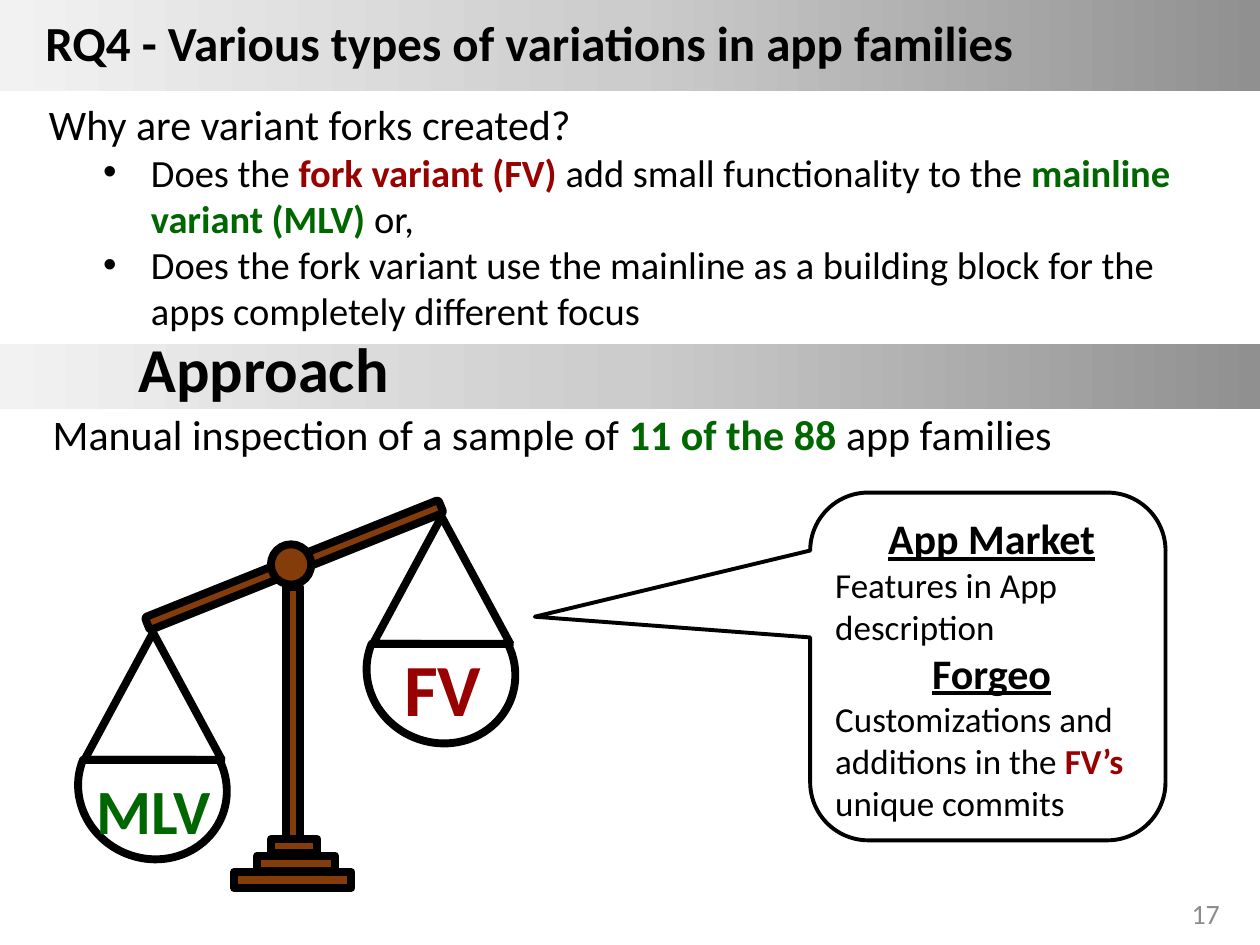
from copy import deepcopy
from dataclasses import dataclass
from typing import NamedTuple, Optional

from lxml.etree import SubElement
from pptx import Presentation
from pptx.dml.color import RGBColor
from pptx.enum.shapes import MSO_SHAPE
from pptx.enum.text import MSO_ANCHOR, MSO_AUTO_SIZE, PP_ALIGN
from pptx.oxml.ns import qn
from pptx.util import Inches, Pt


@dataclass(frozen=True)
class Theme:
    font: str = "Calibri"
    black: str = "000000"
    white: str = "FFFFFF"
    red: str = "990000"
    green: str = "006600"
    brown: str = "843C0B"
    gray: str = "8C8C8C"
    fade: tuple = ("909090", "CCCCCC", "F2F2F2")
    title: float = 28
    header: float = 35.7
    lead: float = 24
    item: float = 22
    note: float = 20
    page: float = 16
    thick: float = 4.5
    thin: float = 2.25


THEME = Theme()


class Box(NamedTuple):
    left: float
    top: float
    width: float
    height: float

    def inches(self) -> list:
        return [Inches(side) for side in self]


class Span(NamedTuple):
    text: str
    color: str = THEME.black
    bold: bool = False
    under: bool = False


class Para(NamedTuple):
    spans: list
    size: float
    align: PP_ALIGN = PP_ALIGN.LEFT
    space: Optional[float] = None
    left: float = 0
    hang: float = 0


class Part(NamedTuple):
    kind: MSO_SHAPE
    box: Box
    fill: Optional[str] = THEME.brown
    turn: float = 0
    line: float = THEME.thick


class Pan(NamedTuple):
    left: float
    top: float
    name: str
    color: str
    size: float
    label: Box


def write(frame, paras: list[Para]) -> None:
    frame.word_wrap = True
    for index, para in enumerate(paras):
        line = frame.add_paragraph() if index else frame.paragraphs[0]
        line.alignment = para.align
        if para.space:
            line.line_spacing = para.space
        props = line._p.get_or_add_pPr()
        props.set("marL", str(Inches(para.left)))
        props.set("indent", str(Inches(-para.hang)))
        if para.hang:
            SubElement(props, qn("a:buFont")).set("typeface", "Arial")
            SubElement(props, qn("a:buChar")).set("char", "•")
        for span in para.spans:
            run = line.add_run()
            run.text = span.text
            font = run.font
            font.name, font.size = THEME.font, Pt(para.size)
            font.bold, font.underline = span.bold, span.under
            font.color.rgb = RGBColor.from_string(span.color)


def add_text(shapes, box: Box, paras: list[Para]):
    frame = shapes.add_textbox(*box.inches()).text_frame
    write(frame, paras)
    return frame


def add_part(shapes, part: Part):
    shape = shapes.add_shape(part.kind, *part.box.inches())
    shape.shadow.inherit = False
    shape.rotation = part.turn
    if part.fill:
        shape.fill.solid()
        shape.fill.fore_color.rgb = RGBColor.from_string(part.fill)
    else:
        shape.fill.background()
    shape.line.color.rgb = RGBColor.from_string(THEME.black)
    shape.line.width = Pt(part.line)
    return shape


def style_band(shape, text: str, size: float, inset: float, space: float) -> None:
    shape.fill.gradient()
    shape.fill.gradient_angle = 180
    stops = shape._element.spPr.find(".//" + qn("a:gsLst"))
    stops.insert(1, deepcopy(stops[0]))
    for index, (stop, color) in enumerate(zip(shape.fill.gradient_stops, THEME.fade)):
        stop.color.rgb = RGBColor.from_string(color)
        stop.position = index / 2
    shape.line.fill.background()
    frame = shape.text_frame
    frame.auto_size = MSO_AUTO_SIZE.NONE
    frame.vertical_anchor = MSO_ANCHOR.MIDDLE
    frame.margin_left = Inches(inset)
    write(frame, [Para([Span(text, bold=True)], size, space=space)])


def add_pan(shapes, pan: Pan) -> None:
    cords = Box(pan.left, pan.top, 1.09, 1.01)
    bowl = Box(pan.left - 0.02, pan.top + 0.64, 1.12, 1.19)
    add_part(shapes, Part(MSO_SHAPE.ISOSCELES_TRIANGLE, cords, THEME.white))
    add_part(shapes, Part(MSO_SHAPE.CHORD, bowl, None, 292.2))
    add_text(shapes, pan.label, [Para([Span(pan.name, pan.color, True)], pan.size)])


def add_scale(slide) -> None:
    shapes = slide.shapes.add_group_shape().shapes
    rect = MSO_SHAPE.RECTANGLE
    for part in (
        Part(rect, Box(2.27, 4.66, 0.11, 2.01)),
        Part(rect, Box(2.04, 6.79, 0.62, 0.12)),
        Part(rect, Box(2.15, 6.66, 0.37, 0.11)),
        Part(rect, Box(1.86, 6.92, 0.93, 0.13)),
        Part(MSO_SHAPE.ROUNDED_RECTANGLE, Box(1.08, 4.43, 2.51, 0.11), turn=338.2),
        Part(MSO_SHAPE.OVAL, Box(2.15, 4.32, 0.32, 0.32)),
    ):
        add_part(shapes, part)
    for pan in (
        Pan(0.67, 5.02, "MLV", THEME.green, 36, Box(0.67, 6.07, 1.13, 0.71)),
        Pan(2.96, 4.1, "FV", THEME.red, 42, Box(3.11, 5.05, 0.83, 0.81)),
    ):
        add_pan(shapes, pan)


def add_callout(slide) -> None:
    shapes = slide.shapes.add_group_shape().shapes
    bubble = add_part(shapes, Part(MSO_SHAPE.ROUNDED_RECTANGULAR_CALLOUT,
                                   Box(6.46, 3.88, 2.76, 2.82), None, 90, THEME.thin))
    for index, value in enumerate((-0.143, 1.275, 0.167)):
        bubble.adjustments[index] = value

    def head(text: str) -> Para:
        return Para([Span(text, bold=True, under=True)], THEME.lead, PP_ALIGN.CENTER)

    add_text(shapes, Box(6.53, 4.02, 2.68, 2.59), [
        head("App Market"),
        Para([Span("Features in App description")], THEME.note),
        head("Forgeo"),
        Para([Span("Customizations and additions in the "),
              Span("FV’s", THEME.red, True), Span(" unique commits")], THEME.note),
    ])


def main() -> None:
    deck = Presentation()
    deck.slide_width, deck.slide_height = Inches(10), Inches(7.5)
    slide = deck.slides.add_slide(deck.slide_layouts[5])
    shapes = slide.shapes

    title = shapes.title
    title.left, title.top, title.width, title.height = Box(0, 0, 10, 0.72).inches()
    style_band(title, "RQ4 - Various types of variations in app families",
               THEME.title, 0.36, 0.9)
    band = add_part(shapes, Part(MSO_SHAPE.RECTANGLE, Box(0, 2.73, 10, 0.52)))
    style_band(band, "Approach", THEME.header, 1.1, 0.7)

    add_text(shapes, Box(0.22, 0.73, 9.57, 1.99), [
        Para([Span("Why are variant forks created?")], THEME.lead, left=0.07),
        Para([Span("Does the "), Span("fork variant (FV) ", THEME.red, True),
              Span("add small functionality to the "),
              Span("mainline variant (MLV) ", THEME.green, True), Span("or,")],
             THEME.item, left=0.88, hang=0.38),
        Para([Span("Does the fork variant use the mainline as a building block "
                   "for the apps completely different focus")],
             THEME.item, left=0.88, hang=0.38),
    ])
    add_text(shapes, Box(0.32, 3.19, 9.46, 0.5), [
        Para([Span("Manual inspection of a sample of "),
              Span("11 of the 88 ", THEME.green, True), Span("app families")], THEME.lead),
    ])
    add_scale(slide)
    add_callout(slide)
    page = add_text(shapes, Box(7.53, 7.05, 2.25, 0.4),
                    [Para([Span("17", THEME.gray)], THEME.page, PP_ALIGN.RIGHT)])
    page.vertical_anchor = MSO_ANCHOR.MIDDLE
    deck.save("out.pptx")


if __name__ == "__main__":
    main()
